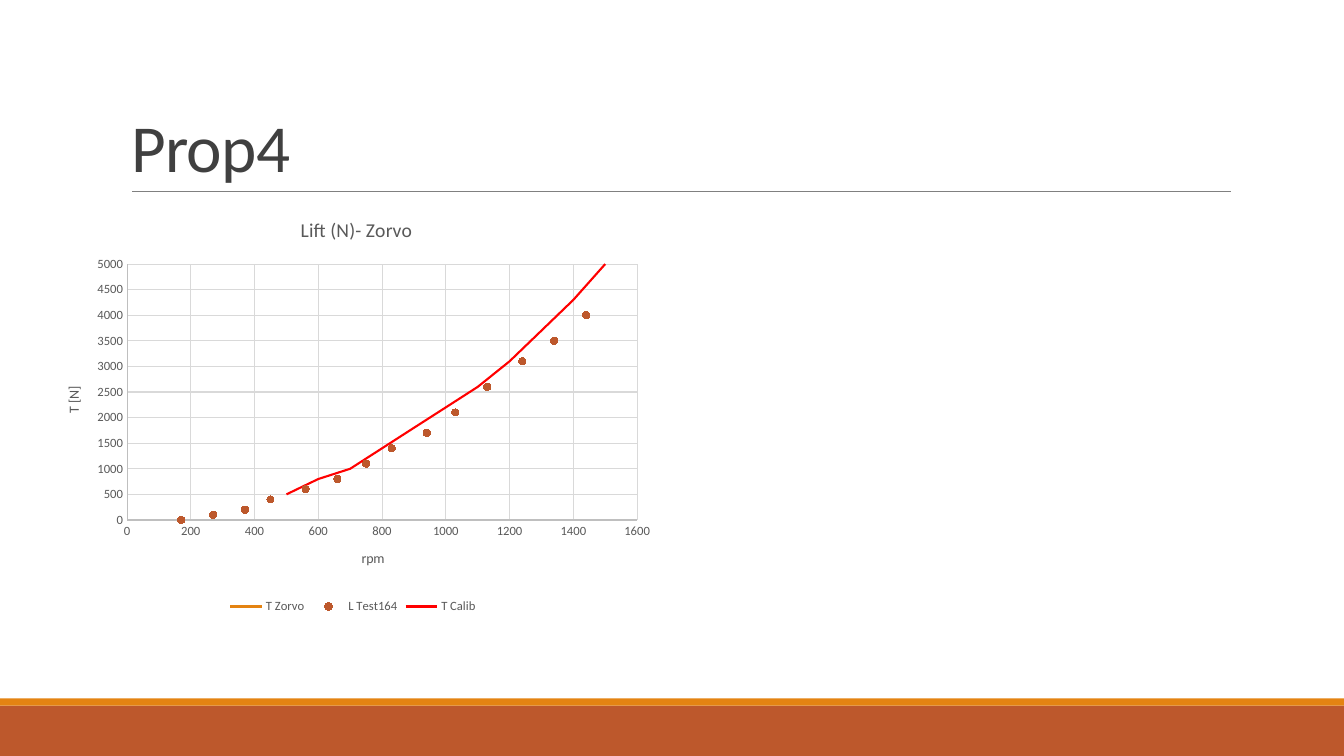
from dataclasses import dataclass

from lxml import etree
from pptx import Presentation
from pptx.chart.data import XyChartData
from pptx.dml.color import RGBColor
from pptx.enum.chart import XL_CHART_TYPE, XL_LEGEND_POSITION, XL_MARKER_STYLE, XL_TICK_MARK
from pptx.enum.shapes import MSO_CONNECTOR, MSO_SHAPE
from pptx.enum.text import MSO_ANCHOR, MSO_AUTO_SIZE, PP_ALIGN
from pptx.oxml.ns import qn
from pptx.util import Inches, Pt

SCATTER = XL_CHART_TYPE.XY_SCATTER_LINES_NO_MARKERS
LEGEND_BOTTOM = XL_LEGEND_POSITION.BOTTOM
CIRCLE = XL_MARKER_STYLE.CIRCLE
NO_MARKER = XL_MARKER_STYLE.NONE
NO_TICK = XL_TICK_MARK.NONE
RECTANGLE = MSO_SHAPE.RECTANGLE
STRAIGHT = MSO_CONNECTOR.STRAIGHT
ANCHOR_BOTTOM = MSO_ANCHOR.BOTTOM
NO_AUTOFIT = MSO_AUTO_SIZE.NONE
ALIGN_LEFT = PP_ALIGN.LEFT
TITLE_ONLY = 5


@dataclass(frozen=True)
class Theme:
    """Colours, font and type sizes of the slide."""
    font: str = "Calibri"
    title: str = "404040"
    chart_text: str = "595959"
    rule: str = "808080"
    axis: str = "BFBFBF"
    grid: str = "D9D9D9"
    orange: str = "E48312"
    rust: str = "BD582C"
    red: str = "FF0000"
    title_size: float = 48
    chart_title_size: float = 14
    axis_title_size: float = 10
    label_size: float = 9


THEME = Theme()
RPM = range(500, 1501, 100)
ZORVO = (600, 800, 1100, 1500, 1900, 2300, 2800, 3400, 4000, 4600, 5300)
CALIB = (500, 800, 1000, 1400, 1800, 2200, 2600, 3100, 3700, 4300, 5000)
TEST_RPM = (170, 270, 370, 450, 560, 660, 750, 830, 940, 1030, 1130, 1240, 1340, 1440)
TEST = (0, 100, 200, 400, 600, 800, 1100, 1400, 1700, 2100, 2600, 3100, 3500, 4000)
SERIES = (
    ("T Zorvo", RPM, ZORVO, THEME.orange),
    ("L Test164", TEST_RPM, TEST, None),
    ("T Calib", RPM, CALIB, THEME.red),
)


def set_font(font, size, color):
    """Apply the theme font with a size and a colour."""
    font.name, font.size, font.bold = THEME.font, Pt(size), False
    font.color.rgb = RGBColor.from_string(color)


def set_line(line, color, width):
    """Give a line a solid colour and a width in points."""
    line.color.rgb = RGBColor.from_string(color)
    line.width = Pt(width)


def set_layout(parent, inner=False, **fractions):
    """Place a chart part by fractions of the chart area."""
    layout = parent.find(qn("c:layout"))
    if layout is None:
        layout = etree.Element(qn("c:layout"))
        parent.insert(1 if parent.find(qn("c:tx")) is not None else 0, layout)
    manual = etree.SubElement(layout, qn("c:manualLayout"))
    settings = {"layoutTarget": "inner"} if inner else {}
    settings.update(xMode="edge", yMode="edge", **fractions)
    for name, value in settings.items():
        etree.SubElement(manual, qn(f"c:{name}")).set("val", str(value))


def add_band(slide, left, top, width, height, color):
    """Draw one plain coloured band."""
    band = slide.shapes.add_shape(RECTANGLE, *map(Inches, (left, top, width, height)))
    band.shadow.inherit = False
    band.fill.solid()
    band.fill.fore_color.rgb = RGBColor.from_string(color)
    band.line.fill.background()


def add_footer(slide, left, top, width, height):
    """Draw the thick band with the thin accent along its top."""
    accent = 0.07
    add_band(slide, left, top + accent, width, height - accent, THEME.rust)
    add_band(slide, left, top, width, accent, THEME.orange)


def add_heading(slide, text, left, top, width, height):
    """Fill the title placeholder and rule it off below."""
    title = slide.shapes.title
    title.left, title.top, title.width, title.height = map(Inches, (left, top, width, height))
    frame = title.text_frame
    frame.text = text
    frame.word_wrap = True
    frame.auto_size = NO_AUTOFIT
    frame.vertical_anchor = ANCHOR_BOTTOM
    paragraph = frame.paragraphs[0]
    paragraph.alignment = ALIGN_LEFT
    paragraph.line_spacing = 0.85
    set_font(paragraph.font, THEME.title_size, THEME.title)
    for properties in title.element.iter(qn("a:defRPr")):
        properties.set("spc", "-50")
    bottom = Inches(top + height)
    rule = slide.shapes.add_connector(
        STRAIGHT, Inches(left + 0.11), bottom, Inches(left + width + 0.01), bottom)
    set_line(rule.line, THEME.rule, 0.5)
    etree.SubElement(rule.element.spPr, qn("a:effectLst"))


def set_chart_title(title, text, size, x, y):
    """Write and place the title of a chart or an axis."""
    title.text_frame.text = text
    set_font(title.text_frame.paragraphs[0].font, size, THEME.chart_text)
    set_layout(title.element, x=x, y=y)


def style_axis(axis, text, maximum, step, x, y):
    """Set the scale, lines, labels and title of an axis."""
    axis.minimum_scale, axis.maximum_scale, axis.major_unit = 0, maximum, step
    axis.major_tick_mark = axis.minor_tick_mark = NO_TICK
    axis.has_major_gridlines = True
    set_line(axis.major_gridlines.format.line, THEME.grid, 0.75)
    set_line(axis.format.line, THEME.axis, 0.75)
    set_font(axis.tick_labels.font, THEME.label_size, THEME.chart_text)
    set_chart_title(axis.axis_title, text, THEME.axis_title_size, x, y)


def style_series(series, color):
    """Show a series as a line, or as dots if it has no line colour."""
    series.smooth = False
    if color:
        series.marker.style = NO_MARKER
        set_line(series.format.line, color, 1.5)
        return
    series.format.line.fill.background()
    marker = series.marker
    marker.style, marker.size = CIRCLE, 5
    marker.format.fill.solid()
    marker.format.fill.fore_color.rgb = RGBColor.from_string(THEME.rust)
    set_line(marker.format.line, THEME.rust, 0.75)


def add_lift_chart(slide, left, top, width, height):
    """Draw the lift against rpm scatter chart."""
    data = XyChartData()
    for name, speeds, forces, _ in SERIES:
        series = data.add_series(name)
        for speed, force in zip(speeds, forces):
            series.add_data_point(speed, force)
    chart = slide.shapes.add_chart(
        SCATTER, *map(Inches, (left, top, width, height)), data).chart
    set_font(chart.font, THEME.label_size, THEME.chart_text)
    chart.has_title = True
    set_chart_title(chart.chart_title, "Lift (N)- Zorvo", THEME.chart_title_size, 0.41, 0.03)
    chart.chart_title.include_in_layout = False
    chart.has_legend = True
    chart.legend.position = LEGEND_BOTTOM
    chart.legend.include_in_layout = False
    set_font(chart.legend.font, THEME.label_size, THEME.chart_text)
    style_axis(chart.category_axis, "rpm", 1600, 200, 0.51, 0.83)
    style_axis(chart.value_axis, "T [N]", 5000, 500, 0.03, 0.44)
    plot_area = next(chart.element.iter(qn("c:plotArea")))
    set_layout(plot_area, inner=True, x=0.83 / width, y=0.63 / height,
               w=5.06 / width, h=2.54 / height)
    plot = chart.plots[0]
    plot.vary_by_categories = False
    for series, (_, _, _, color) in zip(plot.series, SERIES):
        style_series(series, color)


def main():
    """Build and save the slide."""
    presentation = Presentation()
    presentation.slide_width, presentation.slide_height = Inches(13.33), Inches(7.5)
    slide = presentation.slides.add_slide(presentation.slide_layouts[TITLE_ONLY])
    add_footer(slide, 0, 6.93, 13.33, 0.57)
    add_heading(slide, "Prop4", 1.2, 0.31, 11, 1.59)
    add_lift_chart(slide, 0.43, 1.99, 6.14, 4.14)
    presentation.save("out.pptx")


if __name__ == "__main__":
    main()
